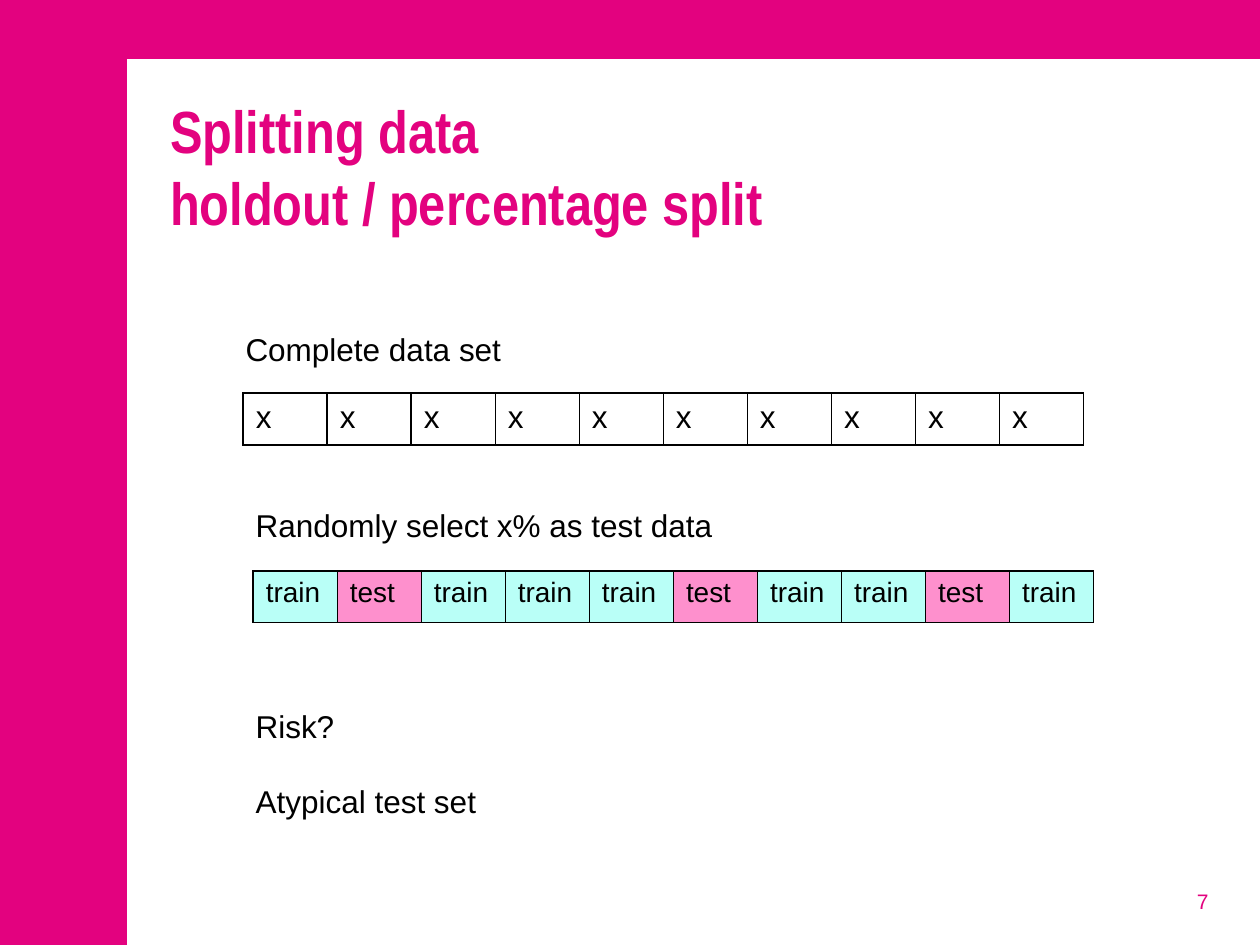
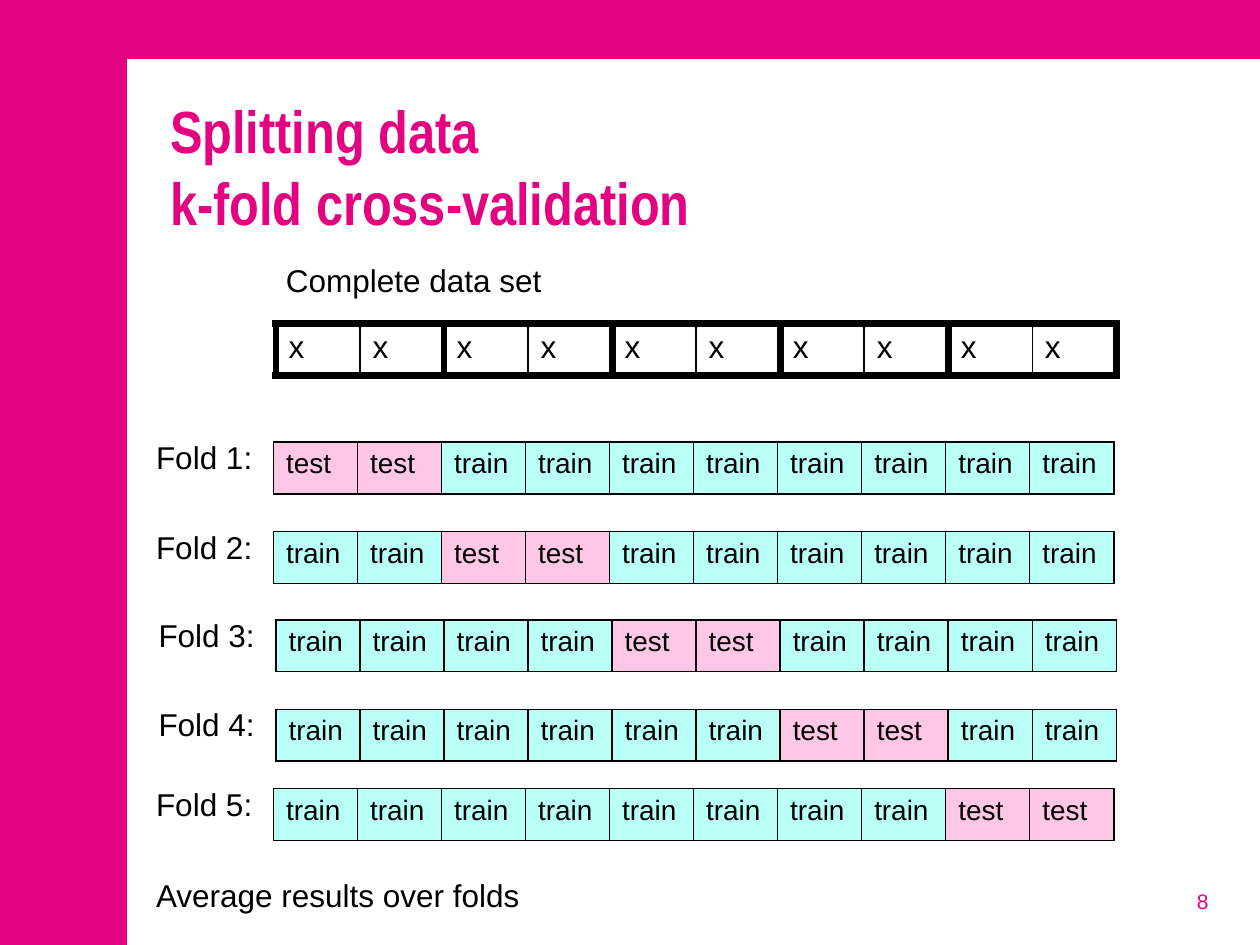
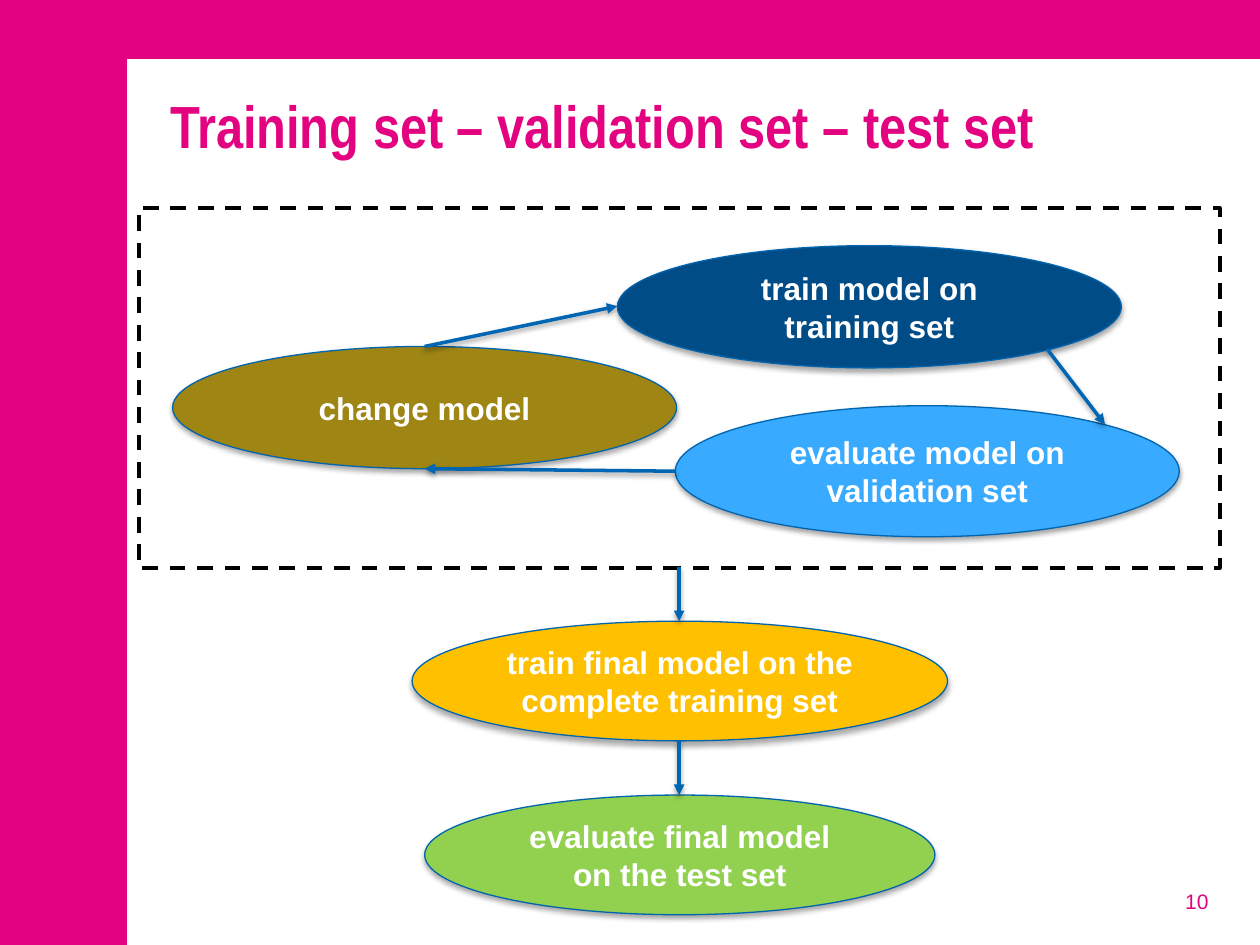
"""Build three slides on splitting data and on training, validation and test sets."""
import dataclasses
import typing

import pptx
import pptx.dml.color
import pptx.enum.dml
import pptx.enum.shapes
import pptx.enum.text
import pptx.oxml
import pptx.oxml.ns
import pptx.slide
import pptx.util
from pptx.util import Inches

ALIGN = pptx.enum.text.PP_ALIGN
ANCHOR = pptx.enum.text.MSO_ANCHOR
SHAPE = pptx.enum.shapes.MSO_SHAPE
qn = pptx.oxml.ns.qn


@dataclasses.dataclass(frozen=True)
class Theme:
    brand: str = "E3027F"
    white: str = "FFFFFF"
    black: str = "000000"
    train: str = "B9FFF7"
    test: str = "FE90CD"
    fold_test: str = "FFC7E6"
    outline: str = "0064AF"
    arrow: str = "0066B3"
    navy: str = "004C86"
    sky: str = "38AAFF"
    olive: str = "9E8514"
    amber: str = "FFC000"
    green: str = "92D050"
    title_font: str = "Arial Narrow"
    body_font: str = "Arial"
    title_size: float = 34
    body_size: float = 18
    cell_size: float = 16
    number_size: float = 12
    thin: float = 1
    thick: float = 4.5


THEME = Theme()
TITLE = {"name": THEME.title_font, "size": pptx.util.Pt(THEME.title_size), "bold": True}
BODY = {"name": THEME.body_font, "size": pptx.util.Pt(THEME.body_size)}
CELL = BODY | {"size": pptx.util.Pt(THEME.cell_size)}
NUMBER = BODY | {"size": pptx.util.Pt(THEME.number_size)}
STRONG = BODY | {"bold": True}


class Box(typing.NamedTuple):
    left: float
    top: float
    width: float
    height: float

    def lengths(self) -> list[int]:
        return [Inches(value) for value in self]


class Step(typing.NamedTuple):
    text: str
    color: str
    box: Box


class Arrow(typing.NamedTuple):
    start: tuple[float, float]
    end: tuple[float, float]


class Cell(typing.NamedTuple):
    text: str
    fill: str | None
    borders: tuple[float, float, float, float] = (THEME.thin,) * 4


PANEL = Box(1.01, 0.47, 8.99, 7.03)
CELL_COUNT = 10
ROW_WIDTH, ROW_HEIGHT = 6.67, 0.41
TEXT_HEIGHT = 0.4
FOLD_ROWS = [(2.17, 3.51), (2.17, 4.22), (2.19, 4.92), (2.19, 5.63), (2.17, 6.26)]
STEPS = [
    Step("evaluate model on validation set", THEME.sky, Box(5.36, 3.22, 4, 1.04)),
    Step("change model", THEME.olive, Box(1.37, 2.75, 4, 0.97)),
    Step("train model on training set", THEME.navy, Box(4.9, 1.95, 4, 0.97)),
    Step("evaluate final model on the test set", THEME.green, Box(3.37, 6.31, 4.05, 0.95)),
    Step("train final model on the complete training set", THEME.amber,
         Box(3.27, 4.93, 4.25, 0.95)),
]
ARROWS = [
    Arrow((8.31, 2.77), (8.77, 3.37)),
    Arrow((5.36, 3.74), (3.37, 3.72)),
    Arrow((3.37, 2.75), (4.9, 2.43)),
    Arrow((5.39, 4.5), (5.39, 4.93)),
    Arrow((5.39, 5.88), (5.39, 6.31)),
]


def rgb(color: str) -> pptx.dml.color.RGBColor:
    return pptx.dml.color.RGBColor.from_string(color)


def set_values(target: typing.Any, values: dict[str, typing.Any]) -> None:
    for name, value in values.items():
        setattr(target, name, value)


def set_fill(fill: typing.Any, color: str | None) -> None:
    if color is None:
        fill.background()
    else:
        fill.solid()
        fill.fore_color.rgb = rgb(color)


def set_line(line: typing.Any, color: str, width: float) -> None:
    set_fill(line.fill, color)
    line.width = pptx.util.Pt(width)


def write(para: typing.Any, text: str, font: dict[str, typing.Any], color: str,
          align: ALIGN = ALIGN.LEFT) -> None:
    para.text = text
    para.alignment = align
    for span in para.runs:
        set_values(span.font, font)
        span.font.color.rgb = rgb(color)


def add_shadow(element: typing.Any, alpha: int, distance: float) -> None:
    properties = element.spPr
    for effect in properties.findall(qn("a:effectLst")):
        properties.remove(effect)
    properties.append(pptx.oxml.parse_xml(
        f'<a:effectLst {pptx.oxml.ns.nsdecls("a")}>'
        f'<a:outerShdw blurRad="{pptx.util.Pt(3.1)}" dist="{pptx.util.Pt(distance)}" '
        f'dir="5400000" rotWithShape="0"><a:srgbClr val="{THEME.black}">'
        f'<a:alpha val="{alpha * 1000}"/></a:srgbClr></a:outerShdw></a:effectLst>'))


def add_text(page: pptx.slide.Slide, box: Box, lines: list[str],
             font: dict[str, typing.Any] = BODY, color: str = THEME.black,
             align: ALIGN = ALIGN.LEFT, anchor: ANCHOR = ANCHOR.TOP, gap: float = 0) -> None:
    frame = page.shapes.add_textbox(*box.lengths()).text_frame
    set_values(frame, {"word_wrap": True, "vertical_anchor": anchor})
    for index, line in enumerate(lines):
        para = frame.add_paragraph() if index else frame.paragraphs[0]
        write(para, line, font, color, align)
        if index:
            para.space_before = pptx.util.Pt(gap)


def add_page(deck: typing.Any, title: str, number: int, title_top: float = 0.7) -> pptx.slide.Slide:
    page = deck.slides.add_slide(deck.slide_layouts.get_by_name("Title Only"))
    holder = page.shapes.title
    box = Box(1.25, title_top, 8.44, 1.34)
    set_values(holder, dict(zip(("left", "top", "width", "height"), box.lengths())))
    set_values(holder.text_frame, {"vertical_anchor": ANCHOR.TOP, "word_wrap": True,
                                   "auto_size": pptx.enum.text.MSO_AUTO_SIZE.NONE})
    para = holder.text_frame.paragraphs[0]
    write(para, title, TITLE, THEME.brand)
    for line_break in para._p.findall(qn("a:br")):
        line_break.append(pptx.oxml.parse_xml(
            f'<a:rPr {pptx.oxml.ns.nsdecls("a")} sz="{THEME.title_size * 100}"/>'))
    add_text(page, Box(7.36, 6.95, 2.33, TEXT_HEIGHT), [str(number)], NUMBER, THEME.brand,
             ALIGN.RIGHT, ANCHOR.MIDDLE)
    return page


def add_shape(page: pptx.slide.Slide, kind: SHAPE, box: Box, fill: str | None) -> typing.Any:
    shape = page.shapes.add_shape(kind, *box.lengths())
    shape.shadow.inherit = False
    set_fill(shape.fill, fill)
    return shape


def share_panel(page: pptx.slide.Slide) -> None:
    layout = page.slide_layout
    set_fill(layout.background.fill, THEME.brand)
    panel = add_shape(page, SHAPE.RECTANGLE, PANEL, THEME.white)
    panel.line.fill.background()
    layout.shapes._spTree.insert(2, panel._element)


def set_borders(cell: typing.Any, widths: tuple[float, float, float, float]) -> None:
    properties = cell._tc.get_or_add_tcPr()
    for index, (side, width) in enumerate(zip("LRTB", widths)):
        properties.insert(index, pptx.oxml.parse_xml(
            f'<a:ln{side} {pptx.oxml.ns.nsdecls("a")} w="{pptx.util.Pt(width)}">'
            f'<a:solidFill><a:srgbClr val="{THEME.black}"/></a:solidFill></a:ln{side}>'))


def add_row(page: pptx.slide.Slide, left: float, top: float, cells: list[Cell],
            font: dict[str, typing.Any]) -> None:
    box = Box(left, top, ROW_WIDTH, ROW_HEIGHT)
    table = page.shapes.add_table(1, len(cells), *box.lengths()).table
    set_values(table, {"first_row": False, "horz_banding": False})
    for index, item in enumerate(cells):
        cell = table.cell(0, index)
        write(cell.text_frame.paragraphs[0], item.text, font, THEME.black)
        set_fill(cell.fill, item.fill)
        set_borders(cell, item.borders)


def split_cells(tests: set[int], test_color: str) -> list[Cell]:
    return [Cell("test", test_color) if index in tests else Cell("train", THEME.train)
            for index in range(CELL_COUNT)]


def paired_cells() -> list[Cell]:
    thin, thick = THEME.thin, THEME.thick
    sides = [(thick, thin, thick, thick), (thin, thick, thick, thick)]
    return [Cell("x", None, sides[index % 2]) for index in range(CELL_COUNT)]


def add_step(page: pptx.slide.Slide, step: Step) -> None:
    shape = add_shape(page, SHAPE.OVAL, step.box, step.color)
    set_line(shape.line, THEME.outline, 0.75)
    set_values(shape.text_frame, {"word_wrap": True, "vertical_anchor": ANCHOR.MIDDLE})
    write(shape.text_frame.paragraphs[0], step.text, STRONG, THEME.white, ALIGN.CENTER)
    add_shadow(shape._element, 35, 1.8)


def add_arrow(page: pptx.slide.Slide, arrow: Arrow) -> None:
    ends = [Inches(value) for value in arrow.start + arrow.end]
    connector = page.shapes.add_connector(pptx.enum.shapes.MSO_CONNECTOR.STRAIGHT, *ends)
    set_line(connector.line, THEME.arrow, 2)
    connector._element.spPr.find(qn("a:ln")).append(pptx.oxml.parse_xml(
        f'<a:tailEnd {pptx.oxml.ns.nsdecls("a")} type="triangle"/>'))
    add_shadow(connector._element, 38, 1.6)


def build_holdout(deck: typing.Any) -> None:
    page = add_page(deck, "Splitting data\nholdout / percentage split", 7)
    share_panel(page)
    add_row(page, 1.93, 3.12, [Cell("x", None)] * CELL_COUNT, BODY)
    add_text(page, Box(1.85, 2.57, 3.78, TEXT_HEIGHT), ["Complete data set"])
    add_row(page, 2.01, 4.53, split_cells({1, 5, 8}, THEME.test), CELL)
    add_text(page, Box(1.93, 3.97, 5.75, TEXT_HEIGHT), ["Randomly select x% as test data"])
    add_text(page, Box(1.93, 5.56, 5.75, 1.01), ["Risk?", "Atypical test set"], gap=21.5)


def build_folds(deck: typing.Any) -> None:
    page = add_page(deck, "Splitting data \nk-fold cross-validation", 8)
    add_row(page, 2.19, 2.57, paired_cells(), BODY)
    add_text(page, Box(2.17, 2.02, 3.78, TEXT_HEIGHT), ["Complete data set"])
    for fold, (left, top) in enumerate(FOLD_ROWS):
        tests = {2 * fold, 2 * fold + 1}
        add_row(page, left, top, split_cells(tests, THEME.fold_test), CELL)
        add_text(page, Box(left - 1.03, top - 0.08, 5.75, TEXT_HEIGHT), [f"Fold {fold + 1}:"])
    add_text(page, Box(1.14, 6.9, 4.33, TEXT_HEIGHT), ["Average results over folds"])


def build_workflow(deck: typing.Any) -> None:
    page = add_page(deck, "Training set – validation set – test set", 10, title_top=0.66)
    for step in STEPS:
        add_step(page, step)
    loop = add_shape(page, SHAPE.RECTANGLE, Box(1.1, 1.65, 8.58, 2.86), None)
    set_line(loop.line, THEME.black, 2.25)
    loop.line.dash_style = pptx.enum.dml.MSO_LINE.DASH
    for arrow in ARROWS:
        add_arrow(page, arrow)


def main() -> None:
    deck = pptx.Presentation()
    set_values(deck, {"slide_width": Inches(10), "slide_height": Inches(7.5)})
    for build in (build_holdout, build_folds, build_workflow):
        build(deck)
    deck.save("out.pptx")


if __name__ == "__main__":
    main()
